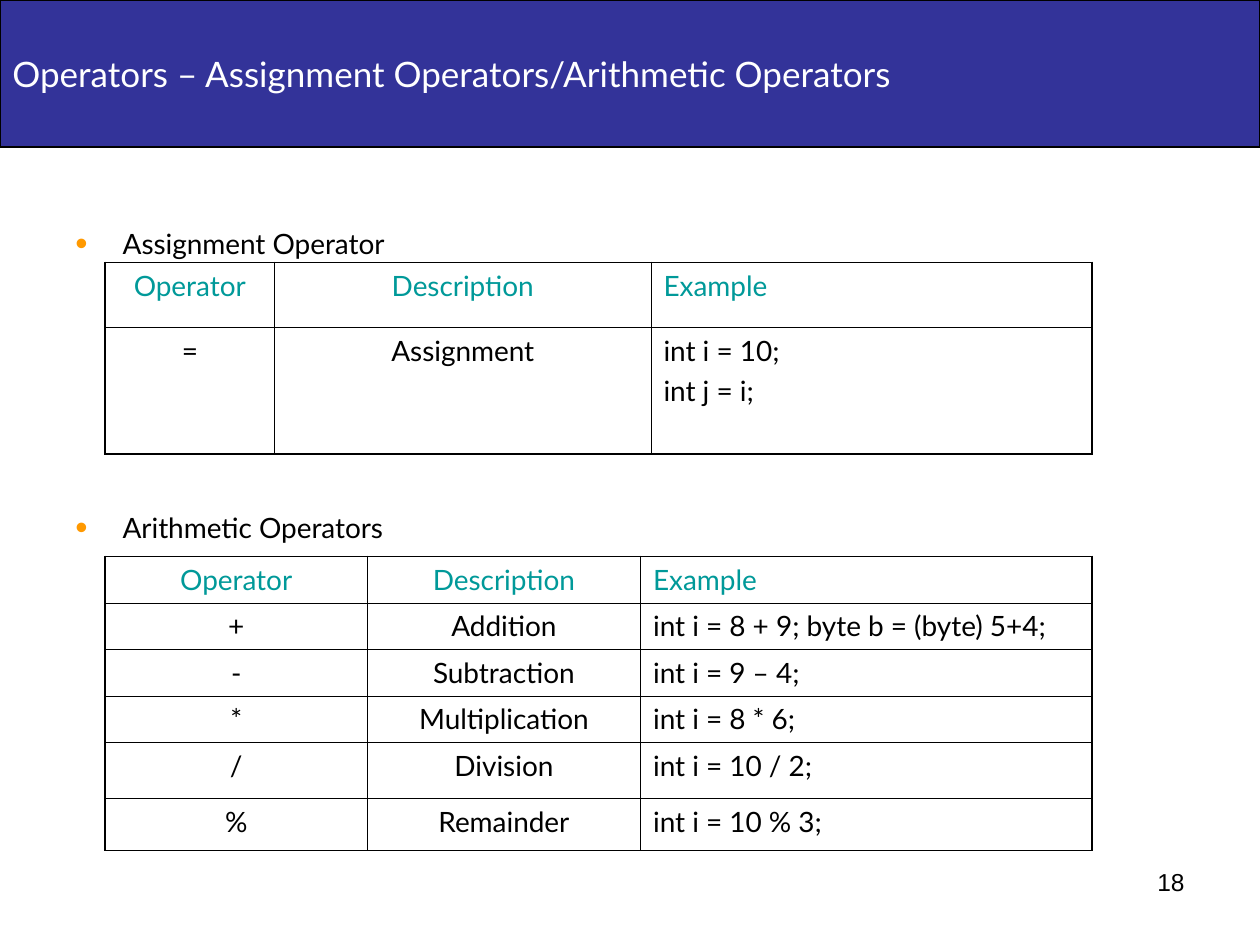
from lxml import etree
from pptx import Presentation
from pptx.dml.color import RGBColor
from pptx.enum.shapes import MSO_SHAPE
from pptx.enum.text import MSO_ANCHOR, PP_ALIGN
from pptx.oxml.ns import qn
from pptx.util import Pt

RECTANGLE = MSO_SHAPE.RECTANGLE
MIDDLE = MSO_ANCHOR.MIDDLE
LEFT, CENTER, RIGHT = PP_ALIGN.LEFT, PP_ALIGN.CENTER, PP_ALIGN.RIGHT

COLORS = {
    "banner": "333399",
    "bullet": "FF9900",
    "header": "009999",
    "text": "000000",
    "white": "FFFFFF",
}
BODY_FONT, NUMBER_FONT = "Lato", "Arial"
BODY_SIZE = 16
OUTER_LINE, INNER_LINE = 1.08, 0.45

TITLE = "Operators – Assignment Operators/Arithmetic Operators"
PAGE_NUMBER = "18"
HEADINGS = ["Assignment Operator", "Arithmetic Operators"]
HEADING_GAP = 143.2
TABLE_LEFT = 60
COLUMN_ALIGNMENT = [CENTER, CENTER, LEFT]
HEADER = ("Operator", "Description", "Example")
TABLES = [
    {
        "top": 150,
        "columns": [97, 215, 252],
        "heights": [37, 72.5],
        "rows": [HEADER, ("=", "Assignment", "int i = 10;\nint j = i;")],
    },
    {
        "top": 318,
        "columns": [150, 156, 258],
        "heights": [26.6, 26.6, 26.6, 26.6, 32, 29.6],
        "rows": [
            HEADER,
            ("+", "Addition", "int i = 8 + 9; byte b = (byte) 5+4;"),
            ("-", "Subtraction", "int i = 9 – 4;"),
            ("*", "Multiplication", "int i = 8 * 6;"),
            ("/", "Division", "int i = 10 / 2;"),
            ("%", "Remainder", "int i = 10 % 3;"),
        ],
    },
]


def rgb(name):
    return RGBColor.from_string(COLORS[name])


def write(frame, lines, size=BODY_SIZE, color="text", font=BODY_FONT,
          align=LEFT, gap=0):
    """Fill a text frame, one paragraph a line, with gap points between them."""
    for index, line in enumerate(lines):
        para = frame.add_paragraph() if index else frame.paragraphs[0]
        para.alignment = align
        if index:
            para.space_before = Pt(gap)
        span = para.add_run()
        span.text = line
        span.font.size = Pt(size)
        span.font.name = font
        span.font.color.rgb = rgb(color)


def add_text_box(page, left, top, width, height):
    frame = page.shapes.add_textbox(Pt(left), Pt(top), Pt(width), Pt(height)).text_frame
    frame.word_wrap = True
    return frame


def add_bullet(para, indent=27):
    properties = para._p.get_or_add_pPr()
    properties.set("marL", str(Pt(indent)))
    properties.set("indent", str(-Pt(indent)))
    color = etree.SubElement(properties, qn("a:buClr"))
    etree.SubElement(color, qn("a:srgbClr"), val=COLORS["bullet"])
    etree.SubElement(properties, qn("a:buSzPct"), val="125000")
    etree.SubElement(properties, qn("a:buFont"), typeface=NUMBER_FONT)
    etree.SubElement(properties, qn("a:buChar"), char="•")


def set_borders(cell, outer_sides):
    properties = cell._tc.get_or_add_tcPr()
    for side in "LRTB":
        width = OUTER_LINE if side in outer_sides else INNER_LINE
        line = etree.SubElement(properties, qn(f"a:ln{side}"), w=str(Pt(width)))
        fill = etree.SubElement(line, qn("a:solidFill"))
        etree.SubElement(fill, qn("a:srgbClr"), val=COLORS["text"])


def add_operator_table(page, top, columns, heights, rows):
    last_row, last_column = len(rows) - 1, len(columns) - 1
    table = page.shapes.add_table(
        len(rows), len(columns), Pt(TABLE_LEFT), Pt(top),
        Pt(sum(columns)), Pt(sum(heights))).table
    table.first_row = table.horz_banding = False
    for column, width in zip(table.columns, columns):
        column.width = Pt(width)
    for r, (height, texts) in enumerate(zip(heights, rows)):
        table.rows[r].height = Pt(height)
        for c, text in enumerate(texts):
            cell = table.cell(r, c)
            edges = {"L": c == 0, "R": c == last_column,
                     "T": r == 0, "B": r == last_row}
            set_borders(cell, [side for side, outer in edges.items() if outer])
            cell.fill.background()
            write(cell.text_frame, text.split("\n"),
                  color="text" if r else "header",
                  align=COLUMN_ALIGNMENT[c], gap=4)


def add_banner(page, width):
    banner = page.shapes.add_shape(RECTANGLE, 0, 0, width, Pt(84))
    banner.shadow.inherit = False
    banner.fill.solid()
    banner.fill.fore_color.rgb = rgb("banner")
    banner.line.color.rgb = rgb("text")
    banner.line.width = Pt(0.75)
    frame = banner.text_frame
    frame.word_wrap = False
    frame.vertical_anchor = MIDDLE
    write(frame, [TITLE], size=20, color="white")


def main():
    deck = Presentation()
    deck.slide_width, deck.slide_height = Pt(720), Pt(540)
    page = deck.slides.add_slide(deck.slide_layouts[6])

    headings = add_text_box(page, 36, 126, 318, 356)
    write(headings, HEADINGS, gap=HEADING_GAP)
    for para in headings.paragraphs:
        add_bullet(para)

    add_banner(page, deck.slide_width)
    for table in TABLES:
        add_operator_table(page, **table)

    number = add_text_box(page, 516, 492, 168, 37.5)
    write(number, [PAGE_NUMBER], size=14, font=NUMBER_FONT, align=RIGHT)
    deck.save("out.pptx")


if __name__ == "__main__":
    main()
